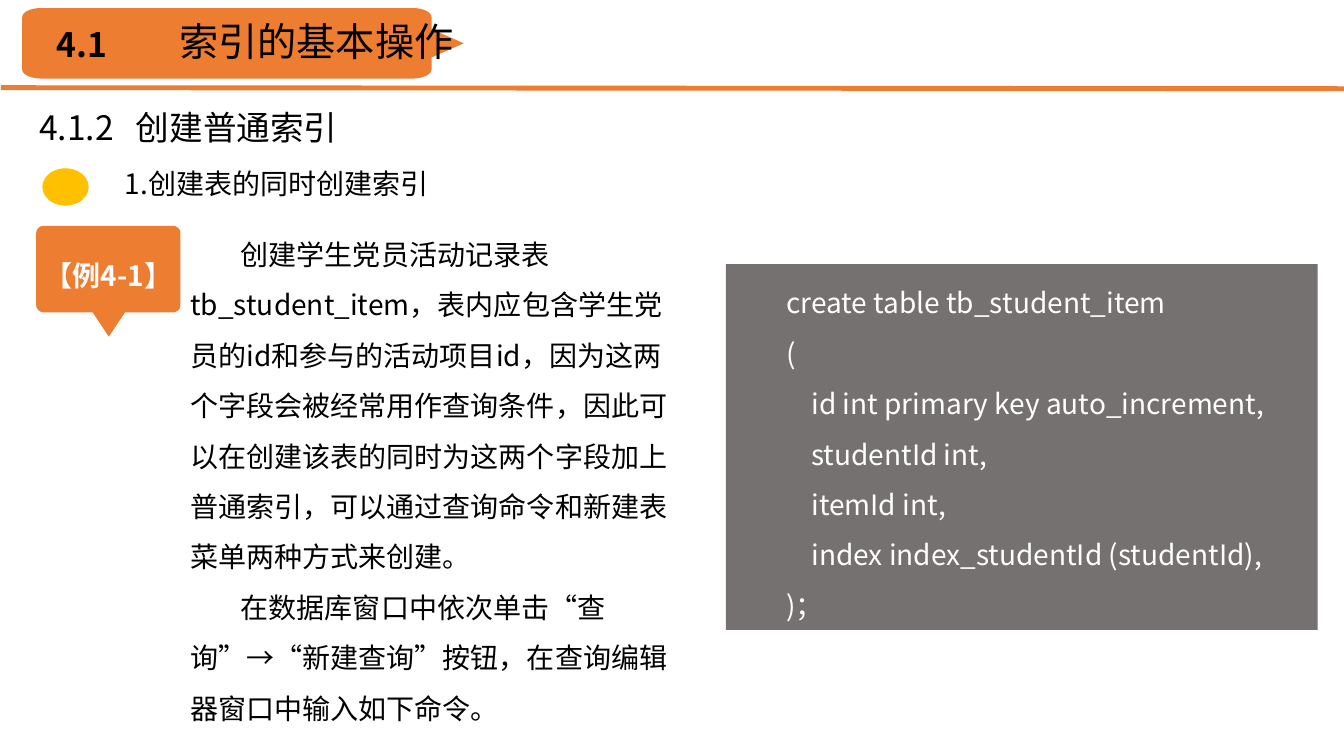
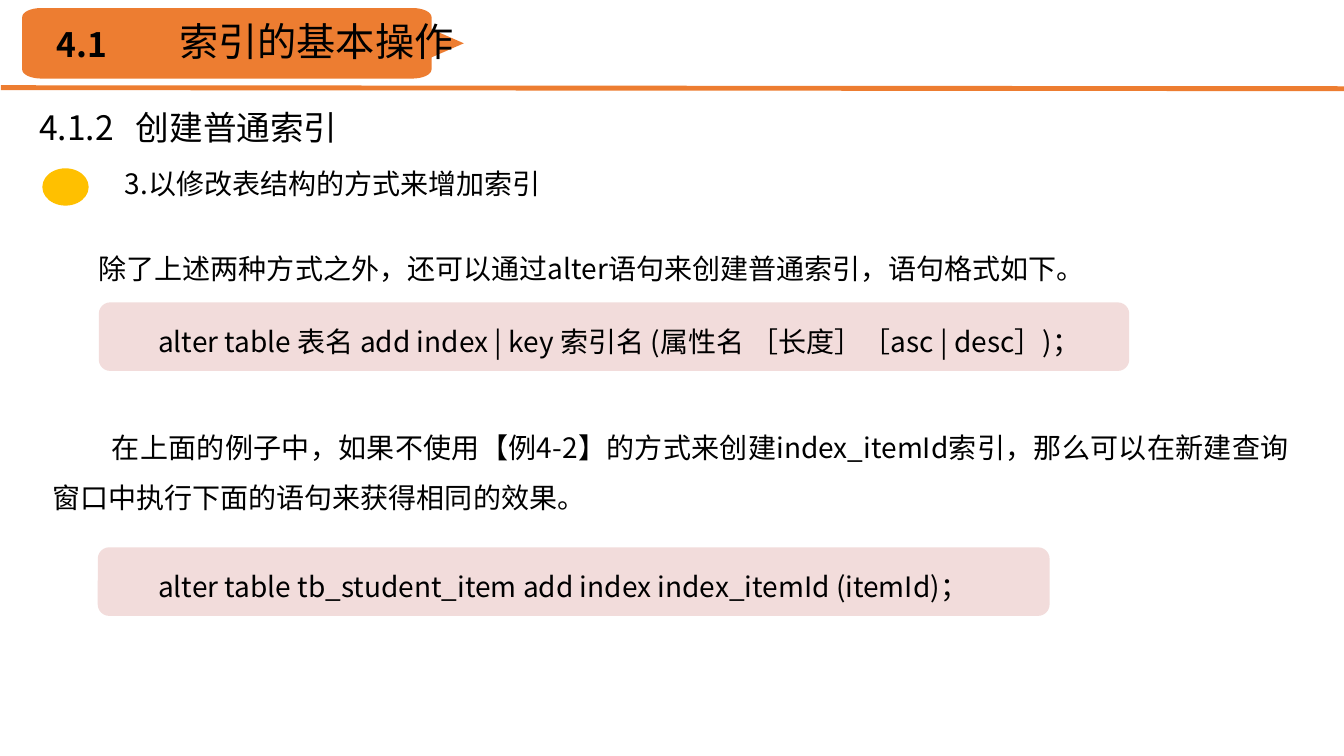
import math

import pptx
import pptx.dml.color
import pptx.enum.shapes
import pptx.enum.text
import pptx.oxml.ns
import pptx.util
from lxml import etree

Inches = pptx.util.Inches
Align = pptx.enum.text.PP_ALIGN
Preset = pptx.enum.shapes.MSO_SHAPE

FONT = "Noto Sans CJK SC"
ORANGE, YELLOW, GRAY, PINK = "ED7D31", "FFC000", "767171", "F2DCDB"
BLACK, WHITE = "000000", "FFFFFF"


def color(value):
    return pptx.dml.color.RGBColor.from_string(value)


def rounded_corner(center_x, center_y, radius_x, radius_y, start):
    """Points of a quarter ellipse, clockwise from the start angle."""
    angles = [math.radians(start + 90 * step / 8) for step in range(9)]
    return [(center_x + radius_x * math.cos(angle), center_y + radius_y * math.sin(angle))
            for angle in angles]


class Slides:
    def __init__(self):
        self.deck = pptx.Presentation()
        self.deck.slide_width, self.deck.slide_height = Inches(13.33), Inches(7.5)
        self.page = None

    def new_page(self, topic):
        """Start a slide with the shared band, headings and topic line."""
        self.page = self.deck.slides.add_slide(self.deck.slide_layouts[6])
        self.rule((0.01, 0.87), (13.33, 0.88))
        self.callout(0.22, 0.08, 4.06, 0.7, (0.19, 0.09),
                     right=[(4.28, 0.29), (4.6, 0.43), (4.28, 0.57)])
        self.text(0.46, 0.19, 0.95, 0.5, ["4.1"], size=24, bold=True)
        self.text(1.68, 0.12, 4.92, 0.57, ["索引的基本操作"], size=28)
        self.text(0.29, 1.01, 4.92, 0.5, ["4.1.2\t创建普通索引"], size=24, tab=0.96)
        self.text(1.14, 1.6, 4.56, 0.44, [topic])
        self.shape(Preset.OVAL, 0.42, 1.67, 0.46, 0.37, YELLOW)

    def rule(self, start, end):
        line = self.page.shapes.add_connector(
            pptx.enum.shapes.MSO_CONNECTOR.STRAIGHT, *map(Inches, start + end))
        line.line.color.rgb = color(ORANGE)
        line.line.width = pptx.util.Pt(3.5)
        etree.SubElement(line._element.spPr, pptx.oxml.ns.qn("a:effectLst"))

    def paint(self, shape, fill):
        shape.shadow.inherit = False
        shape.fill.solid()
        shape.fill.fore_color.rgb = color(fill)
        shape.line.fill.background()
        return shape

    def shape(self, preset, left, top, width, height, fill):
        lengths = map(Inches, (left, top, width, height))
        return self.paint(self.page.shapes.add_shape(preset, *lengths), fill)

    def callout(self, left, top, width, height, radii, right=(), bottom=()):
        """Rounded rectangle with a pointer on its right or bottom side."""
        radius_x, radius_y = radii
        near_x, far_x = left + radius_x, left + width - radius_x
        near_y, far_y = top + radius_y, top + height - radius_y
        outline = [
            *rounded_corner(near_x, near_y, *radii, 180),
            *rounded_corner(far_x, near_y, *radii, 270), *right,
            *rounded_corner(far_x, far_y, *radii, 0), *bottom,
            *rounded_corner(near_x, far_y, *radii, 90),
        ]
        points = [(Inches(x), Inches(y)) for x, y in outline]
        builder = self.page.shapes.build_freeform(*points[0])
        builder.add_line_segments(points[1:], close=True)
        return self.paint(builder.convert_to_shape(), ORANGE)

    def fill_text(self, frame, lines, size=20, ink=BLACK, bold=False, align=Align.LEFT,
                  indent=0, spacing=None, tab=None):
        frame.word_wrap = True
        frame.text = "\n".join(lines)
        for para in frame.paragraphs:
            para.alignment = align
            if spacing:
                para.line_spacing = spacing
            properties = para._p.get_or_add_pPr()
            if indent:
                properties.set("marL", "0")
                properties.set("indent", str(Inches(indent)))
            if tab:
                stops = etree.SubElement(properties, pptx.oxml.ns.qn("a:tabLst"))
                etree.SubElement(stops, pptx.oxml.ns.qn("a:tab"),
                                 pos=str(Inches(tab)), algn="l")
            for span in para.runs:
                span.font.size = pptx.util.Pt(size)
                span.font.bold = bold
                span.font.color.rgb = color(ink)
                span.font.name = FONT
                etree.SubElement(span.font._element, pptx.oxml.ns.qn("a:ea"), typeface=FONT)

    def text(self, left, top, width, height, lines, **style):
        box = self.page.shapes.add_textbox(*map(Inches, (left, top, width, height)))
        box.text_frame.auto_size = pptx.enum.text.MSO_AUTO_SIZE.SHAPE_TO_FIT_TEXT
        self.fill_text(box.text_frame, lines, **style)

    def example(self, label):
        tag = self.callout(0.36, 2.24, 1.43, 0.86, (0.08, 0.07),
                           bottom=[(1.24, 3.1), (1.08, 3.34), (0.92, 3.1)])
        frame = tag.text_frame
        frame.margin_left = frame.margin_top = frame.margin_right = 0
        frame.margin_bottom = Inches(0.12)
        frame.vertical_anchor = pptx.enum.text.MSO_ANCHOR.MIDDLE
        self.fill_text(frame, [label], ink=WHITE, bold=True, align=Align.CENTER)

    def code_block(self, left, top, width, height, lines):
        block = self.shape(Preset.RECTANGLE, left, top, width, height, GRAY)
        block.text_frame.vertical_anchor = pptx.enum.text.MSO_ANCHOR.TOP
        self.fill_text(block.text_frame, lines, ink=WHITE, indent=0.5, spacing=1.5)

    def statement(self, left, top, width, text_width, code):
        self.shape(Preset.ROUNDED_RECTANGLE, left, top, width, 0.68, PINK)
        self.text(0.88, top, text_width, 0.6, [code], indent=0.59, spacing=1.5)

    def body(self, left, top, width, height, line):
        self.text(left, top, width, height, [line], align=Align.JUSTIFY,
                  indent=0.59, spacing=1.5)


def main():
    slides = Slides()

    # Index created together with the table
    slides.new_page("1.创建表的同时创建索引")
    slides.example("【例4-1】")
    slides.text(1.79, 2.14, 5.04, 5.15, [
        "创建学生党员活动记录表tb_student_item，表内应包含学生党员的id和参与的活动项目id，"
        "因为这两个字段会被经常用作查询条件，因此可以在创建该表的同时为这两个字段加上普通索引，"
        "可以通过查询命令和新建表菜单两种方式来创建。",
        "在数据库窗口中依次单击“查询”→“新建查询”按钮，在查询编辑器窗口中输入如下命令。",
    ], indent=0.5, spacing=1.5)
    slides.code_block(7.2, 2.62, 5.87, 3.63, [
        "create table tb_student_item",
        "(",
        "    id int primary key auto_increment,",
        "    studentId int,",
        "    itemId int,",
        "    index index_studentId (studentId),",
        ")；",
    ])

    # Index added by altering the table
    slides.new_page("3.以修改表结构的方式来增加索引")
    slides.body(0.29, 2.28, 11.41, 0.6,
                "除了上述两种方式之外，还可以通过alter语句来创建普通索引，语句格式如下。")
    slides.statement(0.98, 3, 10.22, 11.72,
                     "alter table 表名 add index | key 索引名 (属性名 ［长度］［asc | desc］)；")
    slides.body(0.42, 4.05, 12.46, 1.11,
                "在上面的例子中，如果不使用【例4-2】的方式来创建index_itemId索引，"
                "那么可以在新建查询窗口中执行下面的语句来获得相同的效果。")
    slides.statement(0.97, 5.43, 9.44, 9.92,
                     "alter table tb_student_item add index index_itemId (itemId)；")

    slides.deck.save("out.pptx")


if __name__ == "__main__":
    main()
